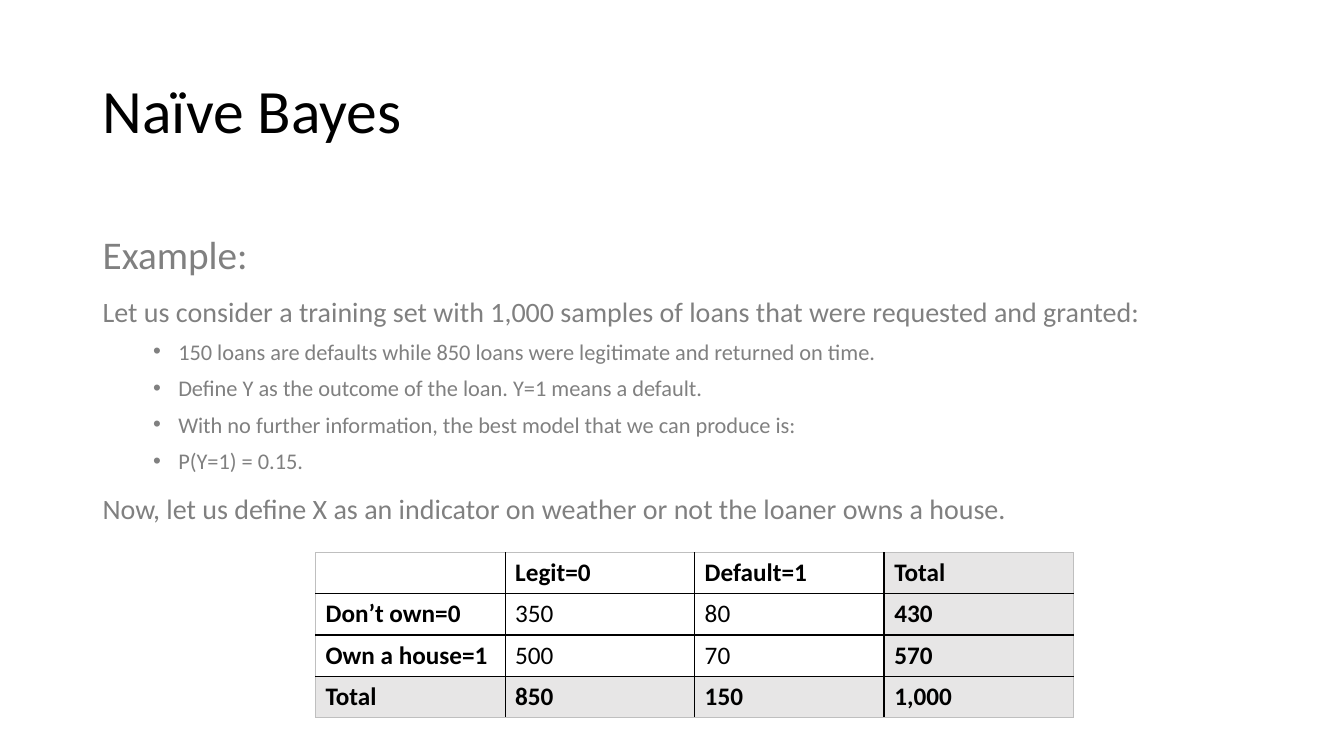
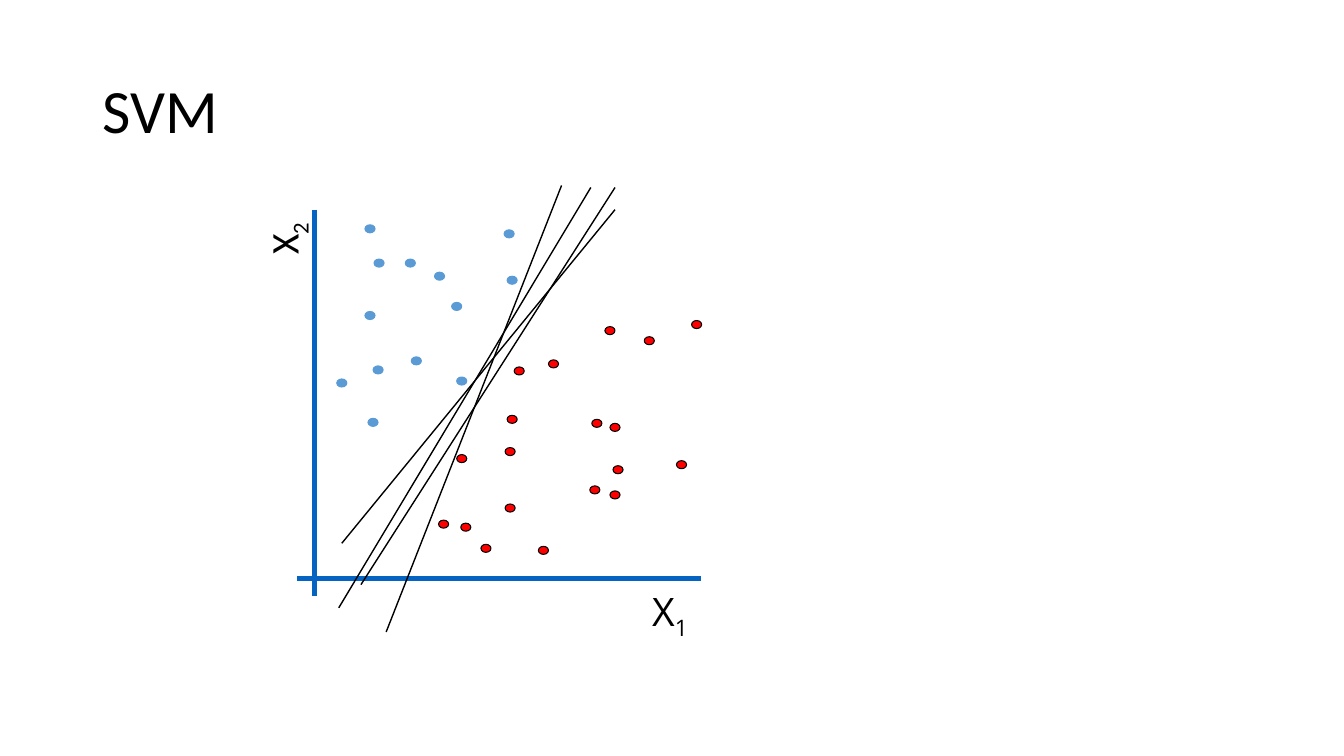
from pptx import Presentation
from pptx import util as u
from pptx.dml.color import RGBColor
from pptx.enum import shapes, text
from pptx.oxml import ns
from lxml import etree

PX = 9144
FONT = "Calibri"
COLORS = {
    "ink": "000000",
    "body": "808080",
    "total": "E7E6E6",
    "edge": "BFBFBF",
    "axis": "0563C1",
    "blue": "5B9BD5",
    "red": "FF0000",
}

EXAMPLE = [
    ("heading", "Example:"),
    ("plain", "Let us consider a training set with 1,000 samples of loans that were requested and granted:"),
    ("bullet", "150 loans are defaults while 850 loans were legitimate and returned on time."),
    ("bullet", "Define Y as the outcome of the loan. Y=1 means a default."),
    ("bullet", "With no further information, the best model that we can produce is:"),
    ("bullet", "P(Y=1) = 0.15."),
    ("plain", "Now, let us define X as an indicator on weather or not the loaner owns a house."),
]
STYLES = {
    "heading": (28, 1.5, 0),
    "plain": (20, 1.1, 10),
    "bullet": (16, 1.1, 5),
}
LOANS = [
    ["", "Legit=0", "Default=1", "Total"],
    ["Don’t own=0", "350", "80", "430"],
    ["Own a house=1", "500", "70", "570"],
    ["Total", "850", "150", "1,000"],
]
LEGIT_DOTS = [
    (508, 278), (407, 261), (458, 378), (367, 313), (376, 261), (375, 367), (453, 304),
    (370, 419), (505, 232), (367, 227), (413, 358), (339, 380), (436, 274),
]
DEFAULT_DOTS = [
    (440, 520), (515, 368), (592, 420), (458, 455), (691, 322), (613, 466), (549, 361),
    (676, 461), (482, 544), (610, 424), (508, 416), (644, 338), (605, 328), (590, 486),
    (539, 546), (506, 504), (506, 448), (462, 523), (610, 491),
]
AXES = [(312, 208, 312, 591), (295, 574, 695, 574)]
SEPARATORS = [
    (339, 539, 610, 208),
    (383, 627, 557, 184),
    (358, 580, 610, 186),
    (336, 603, 586, 186),
]


def px(*lengths):
    return [u.Emu(length * PX) for length in lengths]


def rgb(name):
    return RGBColor.from_string(COLORS[name])


def style_font(font, size, color="ink", name=FONT, bold=False):
    font.name = name
    font.size = u.Pt(size)
    font.bold = bold
    font.color.rgb = rgb(color)


def add_box(page, left, top, width, height):
    box = page.shapes.add_textbox(*px(left, top, width, height))
    box.text_frame.word_wrap = True
    return box


def add_page(deck, title):
    page = deck.slides.add_slide(deck.slide_layouts[6])
    frame = add_box(page, 92, 40, 1150, 145).text_frame
    frame.vertical_anchor = text.MSO_ANCHOR.MIDDLE
    frame.text = title
    para = frame.paragraphs[0]
    para.line_spacing = 0.9
    style_font(para.runs[0].font, 44)
    return page


def add_bullet(para):
    props = para._p.get_or_add_pPr()
    props.set("marL", str(75 * PX))
    props.set("indent", str(-25 * PX))
    etree.SubElement(props, ns.qn("a:buFont"), typeface="Arial")
    etree.SubElement(props, ns.qn("a:buChar"), char="•")


def add_body(page, lines):
    frame = add_box(page, 92, 200, 1150, 476).text_frame
    frame.text = "\n".join(line for _, line in lines)
    for para, (kind, _) in zip(frame.paragraphs, lines):
        size, spacing, before = STYLES[kind]
        para.line_spacing = spacing
        para.space_before = u.Pt(before)
        if kind == "bullet":
            add_bullet(para)
        style_font(para.runs[0].font, size, "body")


def add_border(cell, side, color, points):
    line = etree.SubElement(cell._tc.get_or_add_tcPr(), ns.qn(f"a:ln{side}"), w=str(u.Pt(points)))
    fill = etree.SubElement(line, ns.qn("a:solidFill"))
    etree.SubElement(fill, ns.qn("a:srgbClr"), val=COLORS[color])


def add_borders(cell, row, column, last):
    for side, edge in (("L", 0), ("R", last), ("T", 0), ("B", last)):
        place = column if side in "LR" else row
        total_rule = (side, column) in (("R", last - 1), ("L", last))
        if place == edge:
            add_border(cell, side, "edge", 0.5)
        else:
            add_border(cell, side, "ink", 1.5 if total_rule else 1)


def add_loan_table(page):
    count = len(LOANS)
    last = count - 1
    table = page.shapes.add_table(count, count, *px(313, 548, 188 * count, 41 * count)).table
    table.first_row = table.horz_banding = False
    for row, values in enumerate(LOANS):
        for column, value in enumerate(values):
            cell = table.cell(row, column)
            add_borders(cell, row, column, last)
            if row == last or column == last:
                cell.fill.solid()
                cell.fill.fore_color.rgb = rgb("total")
            else:
                cell.fill.background()
            cell.text = value
            is_count = 0 < row < last and 0 < column < last
            for span in cell.text_frame.paragraphs[0].runs:
                style_font(span.font, 18, bold=not is_count)


def add_line(page, ends, color, points):
    line = page.shapes.add_connector(shapes.MSO_CONNECTOR.STRAIGHT, *px(*ends))
    line.line.color.rgb = rgb(color)
    line.line.width = u.Pt(points)
    etree.SubElement(line._element.spPr, ns.qn("a:effectLst"))


def add_dot(page, center, fill, outline):
    x, y = center
    width, height = 10, 8
    dot = page.shapes.add_shape(
        shapes.MSO_SHAPE.OVAL, *px(x - width // 2, y - height // 2, width, height))
    dot.shadow.inherit = False
    dot.fill.solid()
    dot.fill.fore_color.rgb = rgb(fill)
    dot.line.color.rgb = rgb(outline)
    dot.line.width = u.Pt(0.75)


def add_axis_label(page, left, top, index, font, rotation=0):
    box = add_box(page, left, top, 286, 57)
    box.rotation = rotation
    para = box.text_frame.paragraphs[0]
    para.alignment = text.PP_ALIGN.RIGHT
    for part in ("X", index):
        span = para.add_run()
        span.text = part
        style_font(span.font, 28, name=font)
    span._r.get_or_add_rPr().set("baseline", "-25000")


def build_bayes(deck):
    page = add_page(deck, "Naïve Bayes")
    add_body(page, EXAMPLE)
    add_loan_table(page)


def build_svm(deck):
    page = add_page(deck, "SVM")
    for ends in AXES:
        add_line(page, ends, "axis", 3)
    for centers, fill, outline in ((LEGIT_DOTS, "blue", "blue"), (DEFAULT_DOTS, "red", "ink")):
        for center in centers:
            add_dot(page, center, fill, outline)
    add_axis_label(page, 406, 578, "1", "Open Sans")
    add_axis_label(page, 138, 326, "2", FONT, 270)
    for ends in SEPARATORS:
        add_line(page, ends, "ink", 1)


def main():
    deck = Presentation()
    deck.slide_width, deck.slide_height = px(1333, 750)
    build_bayes(deck)
    build_svm(deck)
    deck.save("out.pptx")


if __name__ == "__main__":
    main()
